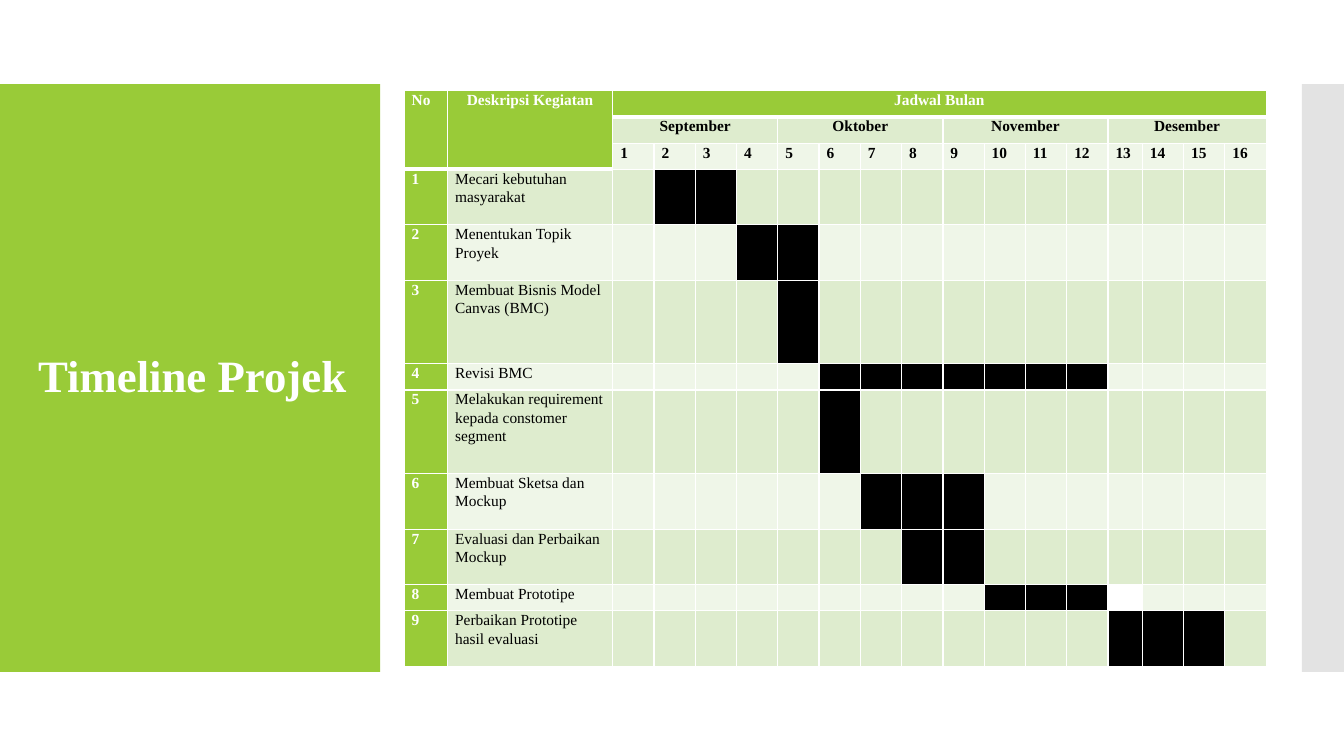
"""Build the project timeline slide: a title panel and a Gantt-style table."""
from dataclasses import dataclass

from lxml import etree
from pptx import Presentation
from pptx.dml.color import RGBColor
from pptx.enum import shapes, text
from pptx.oxml.ns import qn
from pptx.util import Pt

TITLE = "Timeline Projek"
HEADINGS = ["No", "Deskripsi Kegiatan", "Jadwal Bulan"]
MONTHS = ["September", "Oktober", "November", "Desember"]
WEEKS_PER_MONTH = 4
ACTIVITIES = [
    ("Mecari kebutuhan masyarakat", 2, 3, 2),
    ("Menentukan Topik Proyek", 4, 5, 2),
    ("Membuat Bisnis Model Canvas (BMC)", 5, 5, 3),
    ("Revisi BMC", 6, 12, 1),
    ("Melakukan requirement kepada constomer segment", 6, 6, 3),
    ("Membuat Sketsa dan Mockup", 7, 9, 2),
    ("Evaluasi dan Perbaikan Mockup", 8, 9, 2),
    ("Membuat Prototipe", 10, 12, 1),
    ("Perbaikan Prototipe hasil evaluasi", 13, 15, 2),
]
UNFILLED = {(8, 13)}


@dataclass(frozen=True)
class Theme:
    font: str = "Times New Roman"
    green: str = "99CB38"
    band: str = "DEECCE"
    pale: str = "EFF6E8"
    side: str = "C8C8C8"
    dark: str = "000000"
    light: str = "FFFFFF"
    title_size: float = 32
    cell_size: float = 11


T = Theme()
SLIDE = (960, 540)
GREEN_PANEL = (0, 60, 271.5, 420)
SIDE_PANEL = (930, 60, 30, 420)
TITLE_BOX = (20, 64.5, 247, 411)
TABLE_AT = (288.7, 64.8)
HEAD_ROWS, HEAD_COLS = 3, 2
WEEKS = len(MONTHS) * WEEKS_PER_MONTH
LINE_HEIGHTS = {1: 18.72, 2: 39.6, 3: 59.76}
COL_WIDTHS = [31, 118] + [24.5 if w == 13 else 29.5 for w in range(1, WEEKS + 1)]
ROW_HEIGHTS = [LINE_HEIGHTS[n] for n in [1] * HEAD_ROWS + [a[3] for a in ACTIVITIES]]


def add_panel(slide, box, color, opacity=100):
    """Add a plain rectangle."""
    sp = slide.shapes.add_shape(shapes.MSO_SHAPE.RECTANGLE, *map(Pt, box))
    sp.shadow.inherit = False
    sp.fill.solid()
    sp.fill.fore_color.rgb = RGBColor.from_string(color)
    sp.line.fill.background()
    if opacity < 100:
        clr = sp._element.spPr.find(".//" + qn("a:srgbClr"))
        etree.SubElement(clr, qn("a:alpha"), val=str(opacity * 1000))


def add_run(p, words, size, color, bold):
    """Add one formatted run to a paragraph."""
    r = p.add_run()
    r.text = words
    r.font.name = T.font
    r.font.size = Pt(size)
    r.font.bold = bold
    r.font.color.rgb = RGBColor.from_string(color)


def add_title(slide):
    """Place the title over the green panel."""
    sp = slide.shapes.title
    sp.left, sp.top, sp.width, sp.height = map(Pt, TITLE_BOX)
    slide.shapes._spTree.append(sp._element)
    tf = sp.text_frame
    tf.word_wrap = True
    tf.auto_size = text.MSO_AUTO_SIZE.NONE
    tf.vertical_anchor = text.MSO_ANCHOR.MIDDLE
    p = tf.paragraphs[0]
    p.alignment = text.PP_ALIGN.LEFT
    p.line_spacing = 0.9
    p.space_before = Pt(12)
    add_run(p, TITLE, T.title_size, T.light, True)


def style_cell(cell, row, col):
    """Set margins, type size, borders and fill of a cell."""
    cell.margin_left = cell.margin_right = Pt(5.4)
    cell.margin_top = cell.margin_bottom = 0
    p = cell.text_frame.paragraphs[0]
    p.line_spacing = 1.07
    etree.SubElement(p._p, qn("a:endParaRPr"), sz=str(T.cell_size * 100))

    head_end = HEAD_ROWS if col < HEAD_COLS else 1
    weights = {
        "L": 1,
        "R": 1,
        "T": 3 if row == head_end else 1,
        "B": 3 if row in (0, head_end - 1) else 1,
    }
    tc_pr = cell._tc.get_or_add_tcPr()
    for side, weight in weights.items():
        ln = etree.SubElement(tc_pr, qn("a:ln" + side), w=str(Pt(weight)))
        fill = etree.SubElement(ln, qn("a:solidFill"))
        etree.SubElement(fill, qn("a:srgbClr"), val=T.light)

    activity, week = row - HEAD_ROWS + 1, col - HEAD_COLS + 1
    if (activity, week) in UNFILLED:
        cell.fill.background()
        return
    color = T.band if row % 2 else T.pale
    if col == 0 or row < head_end:
        color = T.green
    elif activity > 0 and week > 0:
        _, first, last, _ = ACTIVITIES[activity - 1]
        if first <= week <= last:
            color = T.dark
    cell.fill.solid()
    cell.fill.fore_color.rgb = RGBColor.from_string(color)


def add_timeline(slide):
    """Add the schedule table."""
    rows, cols = len(ROW_HEIGHTS), len(COL_WIDTHS)
    size = (sum(COL_WIDTHS), sum(ROW_HEIGHTS))
    table = slide.shapes.add_table(rows, cols, *map(Pt, TABLE_AT + size)).table
    table.horz_banding = False
    for column, width in zip(table.columns, COL_WIDTHS):
        column.width = Pt(width)
    for table_row, height in zip(table.rows, ROW_HEIGHTS):
        table_row.height = Pt(height)
    for row in range(rows):
        for col in range(cols):
            style_cell(table.cell(row, col), row, col)

    def write(row, col, words, color=T.dark, bold=True, centred=False):
        p = table.cell(row, col).text_frame.paragraphs[0]
        p.alignment = text.PP_ALIGN.CENTER if centred else text.PP_ALIGN.LEFT
        add_run(p, words, T.cell_size, color, bold)

    for col, words in enumerate(HEADINGS):
        end = (HEAD_ROWS - 1, col) if col < HEAD_COLS else (0, cols - 1)
        table.cell(0, col).merge(table.cell(*end))
        write(0, col, words, T.light, centred=col > 0)
    for i, month in enumerate(MONTHS):
        col = HEAD_COLS + i * WEEKS_PER_MONTH
        table.cell(1, col).merge(table.cell(1, col + WEEKS_PER_MONTH - 1))
        write(1, col, month, centred=True)
    for week in range(WEEKS):
        write(2, HEAD_COLS + week, str(week + 1))
    for i, activity in enumerate(ACTIVITIES):
        write(HEAD_ROWS + i, 0, str(i + 1), T.light)
        write(HEAD_ROWS + i, 1, activity[0], bold=False)


def main():
    """Build and save the presentation."""
    prs = Presentation()
    prs.slide_width, prs.slide_height = map(Pt, SLIDE)
    slide = prs.slides.add_slide(prs.slide_layouts[5])
    add_panel(slide, GREEN_PANEL, T.green)
    add_panel(slide, SIDE_PANEL, T.side, 50)
    add_title(slide)
    add_timeline(slide)
    prs.save("out.pptx")


if __name__ == "__main__":
    main()
